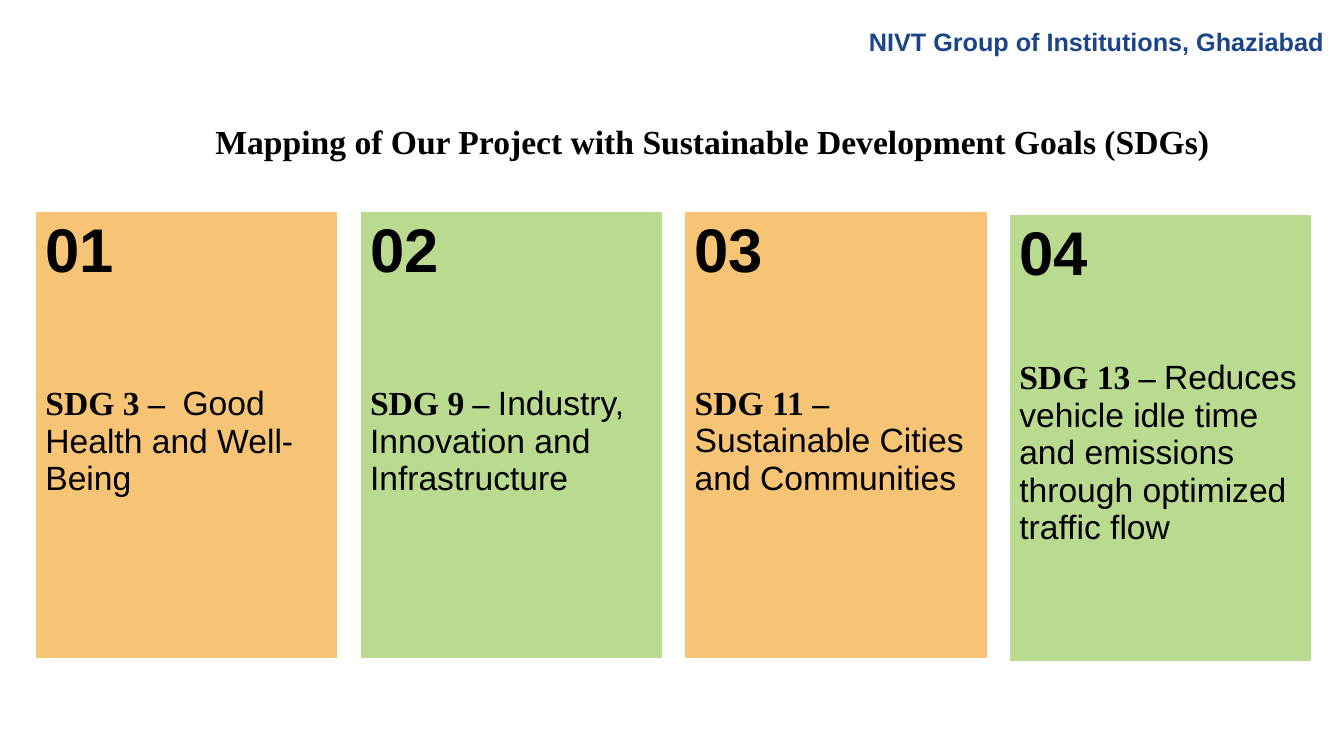
from lxml.etree import SubElement
from pptx import Presentation
from pptx.dml.color import RGBColor
from pptx.enum.text import PP_ALIGN as Align
from pptx.oxml.ns import qn
from pptx.util import Inches, Pt

SANS, SERIF = "Arial", "Times New Roman"
ORANGE, GREEN = "F7C475", "B9DA8F"
CARDS = [
    ("01", "SDG 3 – ", " Good Health and Well-Being", ORANGE, 2.1, 71.3),
    ("02", "SDG 9 – ", "Industry, Innovation and Infrastructure", GREEN, 2.1, 71.3),
    ("03", "SDG 11 – ", "Sustainable Cities and Communities", ORANGE, 2.1, 71.3),
    ("04", "SDG 13 – ", "Reduces vehicle idle time and emissions through optimized traffic flow",
     GREEN, 2.13, 50.6),
]


def rgb(value):
    return RGBColor.from_string(value)


class SlideBuilder:
    number = {"name": SANS, "size": Pt(44), "bold": True}
    goal = {"name": SERIF, "size": Pt(24), "bold": True}
    body = {"name": SANS, "size": Pt(24), "bold": False}
    school = {"name": SANS, "size": Pt(18), "bold": True}
    borders = {"lnL": 1, "lnR": 1, "lnT": 1, "lnB": 3}

    def __init__(self, s):
        self.s = s

    def run(self, p, text, style, color="000000"):
        r = p.add_run()
        r.text = text
        for key, value in style.items():
            setattr(r.font, key, value)
        r.font.color.rgb = rgb(color)

    def text(self, box, text, style, color="000000", align=Align.LEFT):
        tf = self.s.shapes.add_textbox(*map(Inches, box)).text_frame
        tf.word_wrap = True
        p = tf.paragraphs[0]
        p.alignment = align
        self.run(p, text, style, color)

    def border(self, cell):
        tc_pr = cell._tc.get_or_add_tcPr()
        for side, width in self.borders.items():
            ln = SubElement(tc_pr, qn(f"a:{side}"), w=str(Pt(width)))
            SubElement(SubElement(ln, qn("a:solidFill")), qn("a:srgbClr"), val="FFFFFF")

    def card(self, left, top, number, goal, body, fill, gap):
        box = map(Inches, (left, top, 3, 4.45))
        table = self.s.shapes.add_table(1, 1, *box).table
        table.first_row = table.horz_banding = False
        cell = table.cell(0, 0)
        self.border(cell)
        cell.fill.solid()
        cell.fill.fore_color.rgb = rgb(fill)
        tf = cell.text_frame
        self.run(tf.paragraphs[0], number, self.number)
        p = tf.add_paragraph()
        p.space_before = Pt(gap)
        self.run(p, goal, self.goal)
        self.run(p, body, self.body)


def main():
    prs = Presentation()
    prs.slide_width, prs.slide_height = Inches(13.33), Inches(7.5)
    slide = SlideBuilder(prs.slides.add_slide(prs.slide_layouts[6]))
    slide.text((1.39, 1.15, 11.35, 0.66),
               "Mapping of Our Project with Sustainable Development Goals (SDGs)",
               slide.goal, align=Align.CENTER)
    slide.text((8.52, 0.21, 4.81, 0.4), "NIVT Group of Institutions, Ghaziabad",
               slide.school, "1C4587")
    for i, (number, goal, body, fill, top, gap) in enumerate(CARDS):
        slide.card(0.35 + 3.22 * i, top, number, goal, body, fill, gap)
    prs.save("out.pptx")


if __name__ == "__main__":
    main()
